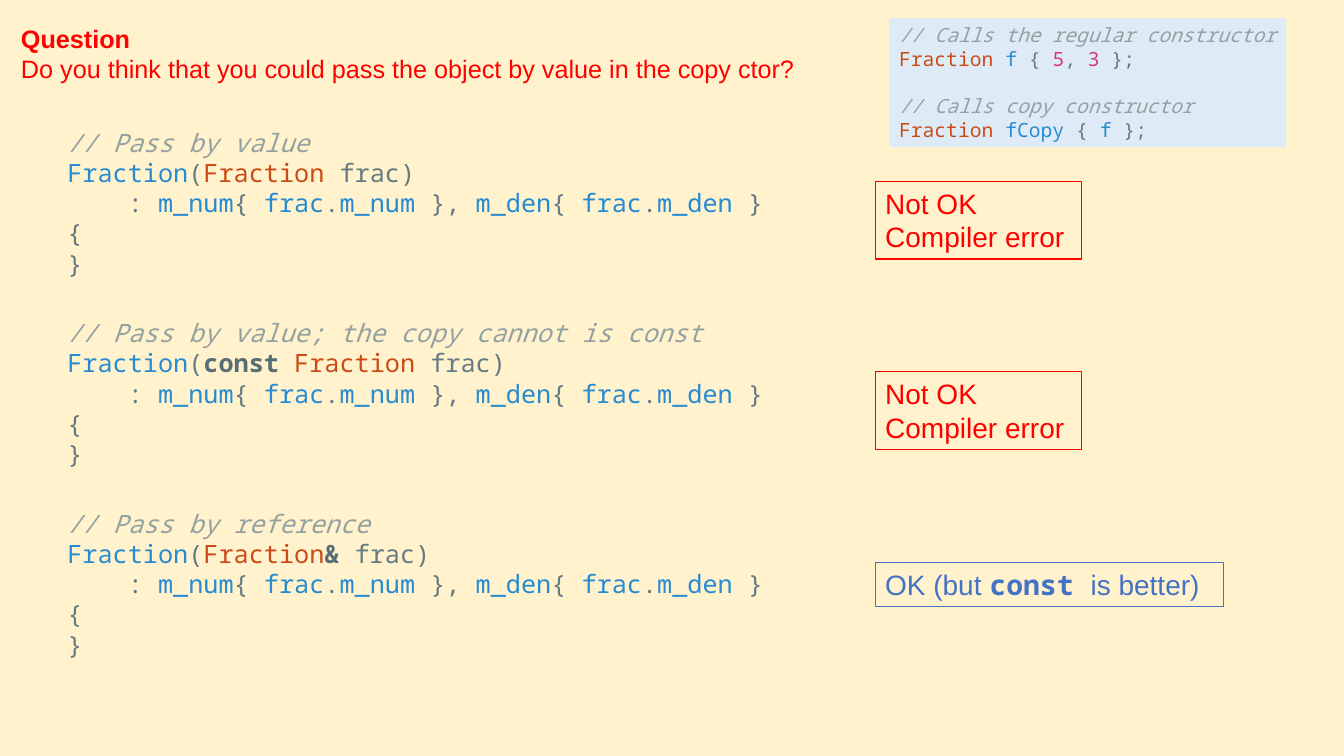
from pptx import Presentation
from pptx.dml.color import RGBColor
from pptx.enum import shapes, text
from pptx.util import Inches, Pt

CREAM = RGBColor(0xFF, 0xF2, 0xCC)
PALE_BLUE = RGBColor(0xDE, 0xEB, 0xF7)
RED = RGBColor(0xFF, 0x00, 0x00)
BLUE = RGBColor(0x44, 0x72, 0xC4)
COMMENT_GRAY = RGBColor(0x93, 0xA1, 0xA1)
NAME_BLUE = RGBColor(0x26, 0x8B, 0xD2)
PLAIN_GRAY = RGBColor(0x65, 0x7B, 0x83)
TYPE_ORANGE = RGBColor(0xCB, 0x4B, 0x16)
KEYWORD_GRAY = RGBColor(0x58, 0x6E, 0x75)
NUMBER_PINK = RGBColor(0xD3, 0x36, 0x82)

SANS = "Arial"
MONO = "Noto Sans Mono"


def styled(words, color=PLAIN_GRAY, font=MONO, bold=False, italic=False):
    return words, color, font, bold, italic


def comment(words):
    return styled(words, COMMENT_GRAY, italic=True)


def name(words):
    return styled(words, NAME_BLUE)


def type_name(words):
    return styled(words, TYPE_ORANGE)


def keyword(words):
    return styled(words, KEYWORD_GRAY, bold=True)


def number(words):
    return styled(words, NUMBER_PINK)


def write_lines(frame, lines, size, margin_right=0.1, gaps=None):
    frame.word_wrap = True
    frame.margin_right = Inches(margin_right)
    frame.auto_size = text.MSO_AUTO_SIZE.SHAPE_TO_FIT_TEXT
    frame.vertical_anchor = text.MSO_ANCHOR.TOP
    for index, line in enumerate(lines):
        paragraph = frame.paragraphs[0] if index == 0 else frame.add_paragraph()
        paragraph.alignment = text.PP_ALIGN.LEFT
        if gaps and index in gaps:
            paragraph.space_before = Pt(gaps[index])
        for words, color, font, bold, italic in line:
            run = paragraph.add_run()
            run.text = words
            run.font.name = font
            run.font.size = Pt(size)
            run.font.bold = bold
            run.font.italic = italic
            run.font.color.rgb = color


def add_text(slide, left, top, width, height, lines, size=18):
    box = slide.shapes.add_textbox(Inches(left), Inches(top), Inches(width), Inches(height))
    write_lines(box.text_frame, lines, size)


def add_panel(slide, left, top, width, height, lines, size=20, fill=None, line=None, **layout):
    shape = slide.shapes.add_shape(
        shapes.MSO_SHAPE.RECTANGLE, Inches(left), Inches(top), Inches(width), Inches(height)
    )
    shape.shadow.inherit = False
    if fill is None:
        shape.fill.background()
    else:
        shape.fill.solid()
        shape.fill.fore_color.rgb = fill
    if line is None:
        shape.line.fill.background()
    else:
        shape.line.color.rgb = line
        shape.line.width = Pt(0.75)
    write_lines(shape.text_frame, lines, size, **layout)


def constructor_lines(title, parameter):
    initializers = [styled("    : ")]
    for member, ending in (("m_num", " }, "), ("m_den", " }")):
        initializers += [name(member), styled("{ "), name("frac"), styled("."),
                         name(member), styled(ending)]
    return [
        [comment(title)],
        [name("Fraction"), styled("("), *parameter, styled(" frac)")],
        initializers,
        [styled("{")],
        [styled("}")],
    ]


def main():
    presentation = Presentation()
    presentation.slide_width = Inches(13.33)
    presentation.slide_height = Inches(7.5)
    slide = presentation.slides.add_slide(presentation.slide_layouts[6])
    slide.background.fill.solid()
    slide.background.fill.fore_color.rgb = CREAM

    add_text(slide, 0.11, 0.18, 13.12, 0.71, [
        [styled("Question", RED, SANS, bold=True)],
        [styled("Do you think that you could pass the object by value in the copy ctor?", RED, SANS)],
    ])

    rejected = [[styled("Not OK", RED, SANS)], [styled("Compiler error", RED, SANS)]]
    accepted = [[styled("OK (but ", BLUE, SANS), styled("const ", BLUE, bold=True),
                 styled("is better)", BLUE, SANS)]]
    cases = [
        ("// Pass by value", [type_name("Fraction")], rejected, 2.05, 0.77, RED),
        ("// Pass by value; the copy cannot is const",
         [keyword("const "), type_name("Fraction")], rejected, 2.05, 0.77, RED),
        ("// Pass by reference", [type_name("Fraction"), keyword("&")], accepted, 3.46, 0.44, BLUE),
    ]
    for index, (title, parameter, verdict, width, height, color) in enumerate(cases):
        top = 1.21 + 1.89 * index
        add_text(slide, 0.57, top, 7.13, 1.62, constructor_lines(title, parameter))
        add_panel(slide, 8.68, top + 0.59, width, height, verdict, line=color)

    add_panel(slide, 8.82, 0.18, 3.94, 1.28, [
        [comment("// Calls the regular constructor")],
        [type_name("Fraction "), name("f"), styled(" { "), number("5"), styled(", "),
         number("3"), styled(" };")],
        [comment("// Calls copy constructor")],
        [type_name("Fraction "), name("fCopy"), styled(" { "), name("f"), styled(" };")],
    ], size=14, fill=PALE_BLUE, margin_right=0, gaps={2: 17})

    presentation.save("out.pptx")


if __name__ == "__main__":
    main()
